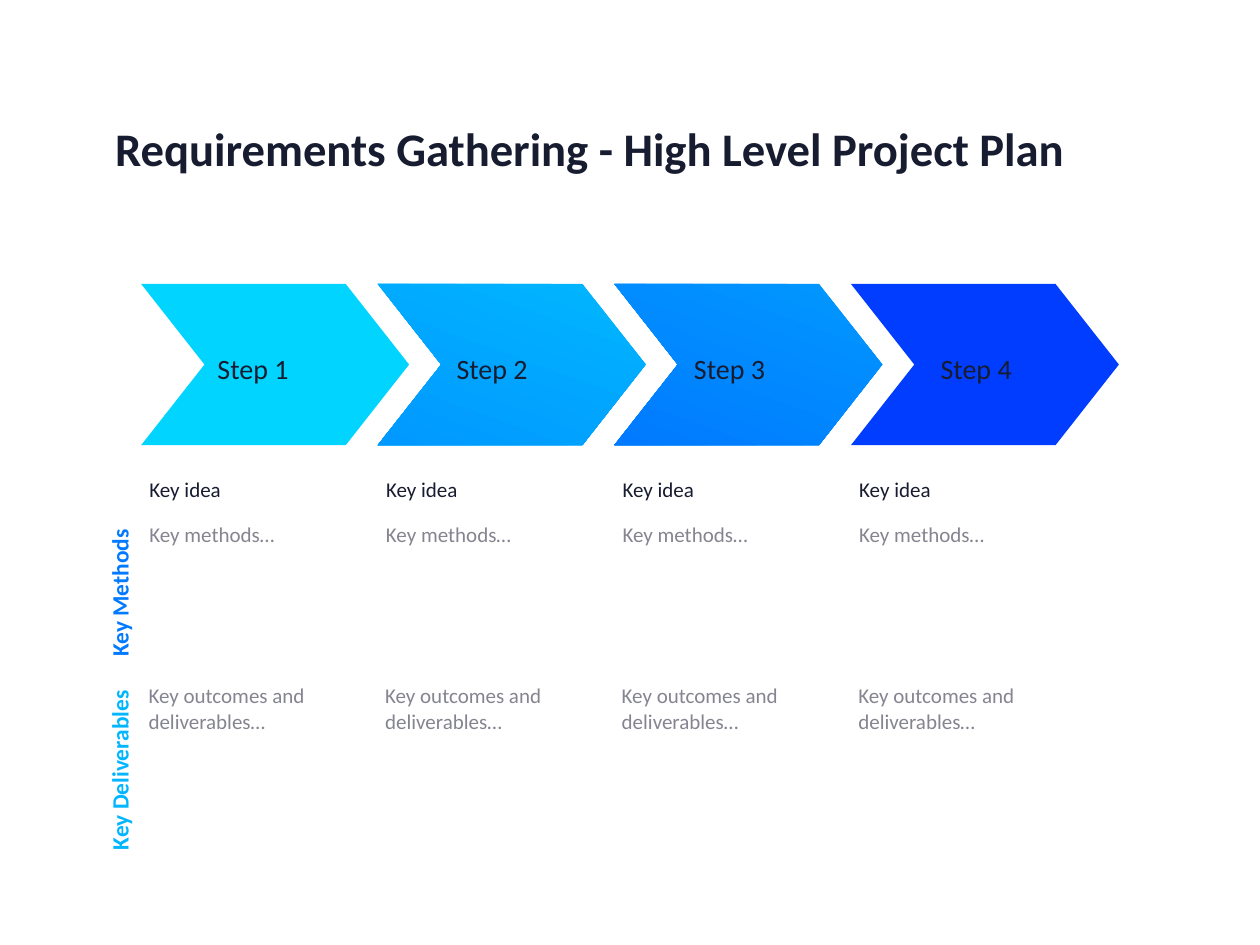
"""Build a four-step project plan slide for requirements gathering."""
from dataclasses import dataclass

from pptx import Presentation
from pptx import util as u
from pptx.dml.color import RGBColor
from pptx.enum import shapes, text

FONT = "Calibri"
INK, GREY = "171C30", "858591"
GRID_LEFT, PITCH = 1.68, (10.13 - 1.68) / 3
CHEVRON_TOP, STEP_TOP, IDEA_TOP, METHODS_TOP, OUTCOMES_TOP = 3.38, 4.13, 5.62, 6.16, 8.08


@dataclass(frozen=True)
class Step:
    """One stage of the plan: its chevron colours and label indent."""

    name: str
    colours: tuple[str, ...]
    indent: float


@dataclass(frozen=True)
class RowHeading:
    """A vertical heading beside a row of the plan."""

    wording: str
    top: float
    colour: str


STEPS = (
    Step("Step 1", ("01D5FF",), 0.81),
    Step("Step 2", ("01B6FF", "0198FF"), 0.84),
    Step("Step 3", ("0198FF", "017AFF"), 0.85),
    Step("Step 4", ("013DFF",), 0.97),
)
HEADINGS = (
    RowHeading("Key Methods", 6.84, "017AFF"),
    RowHeading("Key Deliverables", 8.95, "01B6FF"),
)


def rgb(value: str) -> RGBColor:
    """Return the colour for a hex string."""
    return RGBColor.from_string(value)


def column(number: int) -> float:
    """Return the left edge of a step column in inches."""
    return GRID_LEFT + number * PITCH


def write(holder, wording: str, size: float, colour: str, bold: bool = False,
          **paragraph_format) -> None:
    """Put one formatted paragraph into a shape."""
    frame = holder.text_frame
    frame.word_wrap = True
    frame.auto_size = text.MSO_AUTO_SIZE.SHAPE_TO_FIT_TEXT
    paragraph = frame.paragraphs[0]
    run = paragraph.add_run()
    run.text = wording
    for name, value in {"name": FONT, "size": u.Pt(size), "bold": bold}.items():
        setattr(run.font, name, value)
    run.font.color.rgb = rgb(colour)
    for name, value in paragraph_format.items():
        setattr(paragraph, name, value)


def add_label(slide, box: tuple[float, ...], wording: str, size: float, colour: str,
              rotation: float = 0, **style) -> None:
    """Add a text box, turned if needed."""
    label = slide.shapes.add_textbox(*map(u.Inches, box))
    label.rotation = rotation
    write(label, wording, size, colour, **style)


def add_chevron(slide, left: float, colours: tuple[str, ...]) -> None:
    """Add a chevron with a solid or a two-colour fill."""
    box = (left, CHEVRON_TOP, 3.19, 1.92)
    chevron = slide.shapes.add_shape(shapes.MSO_SHAPE.CHEVRON, *map(u.Inches, box))
    chevron.adjustments[0] = 0.393
    chevron.shadow.inherit = False
    chevron.line.fill.background()
    if len(colours) == 1:
        chevron.fill.solid()
        chevron.fill.fore_color.rgb = rgb(colours[0])
        return
    chevron.fill.gradient()
    chevron.fill.gradient_angle = 250
    for stop, colour in zip(chevron.fill.gradient_stops, colours):
        stop.color.rgb = rgb(colour)


def add_step(slide, number: int, step: Step) -> None:
    """Add one column: chevron, step name, idea, methods and outcomes."""
    left = column(number)
    add_chevron(slide, left, step.colours)
    add_label(slide, (left + step.indent, STEP_TOP, 1.83, 0.5), step.name, 24, INK)
    add_label(slide, (left, IDEA_TOP, 2.39, 0.4), "Key idea", 18, INK)
    add_label(slide, (left, METHODS_TOP, 2.63, 0.4), "Key methods…", 18, GREY)
    add_label(slide, (left - 0.01, OUTCOMES_TOP, 2.63, 0.71),
              "Key outcomes and deliverables…", 18, GREY)


def add_title(slide, wording: str) -> None:
    """Place and format the title placeholder."""
    title = slide.shapes.title
    place = {"left": 1.12, "top": 1.45, "width": 11.8, "height": 0.71}
    for name, value in place.items():
        setattr(title, name, u.Inches(value))
    title.text_frame.vertical_anchor = text.MSO_ANCHOR.MIDDLE
    write(title, wording, 40, INK, bold=True,
          alignment=text.PP_ALIGN.CENTER, line_spacing=0.9)


def main() -> None:
    """Build and save the slide."""
    deck = Presentation()
    deck.slide_width, deck.slide_height = u.Inches(15), u.Inches(11.25)
    slide = deck.slides.add_slide(deck.slide_layouts[5])
    add_title(slide, "Requirements Gathering - High Level Project Plan")
    for number, step in enumerate(STEPS):
        add_step(slide, number, step)
    for heading in HEADINGS:
        add_label(slide, (0.11, heading.top, 2.63, 0.44), heading.wording, 20,
                  heading.colour, rotation=270, bold=True,
                  alignment=text.PP_ALIGN.CENTER)
    deck.save("out.pptx")


if __name__ == "__main__":
    main()
